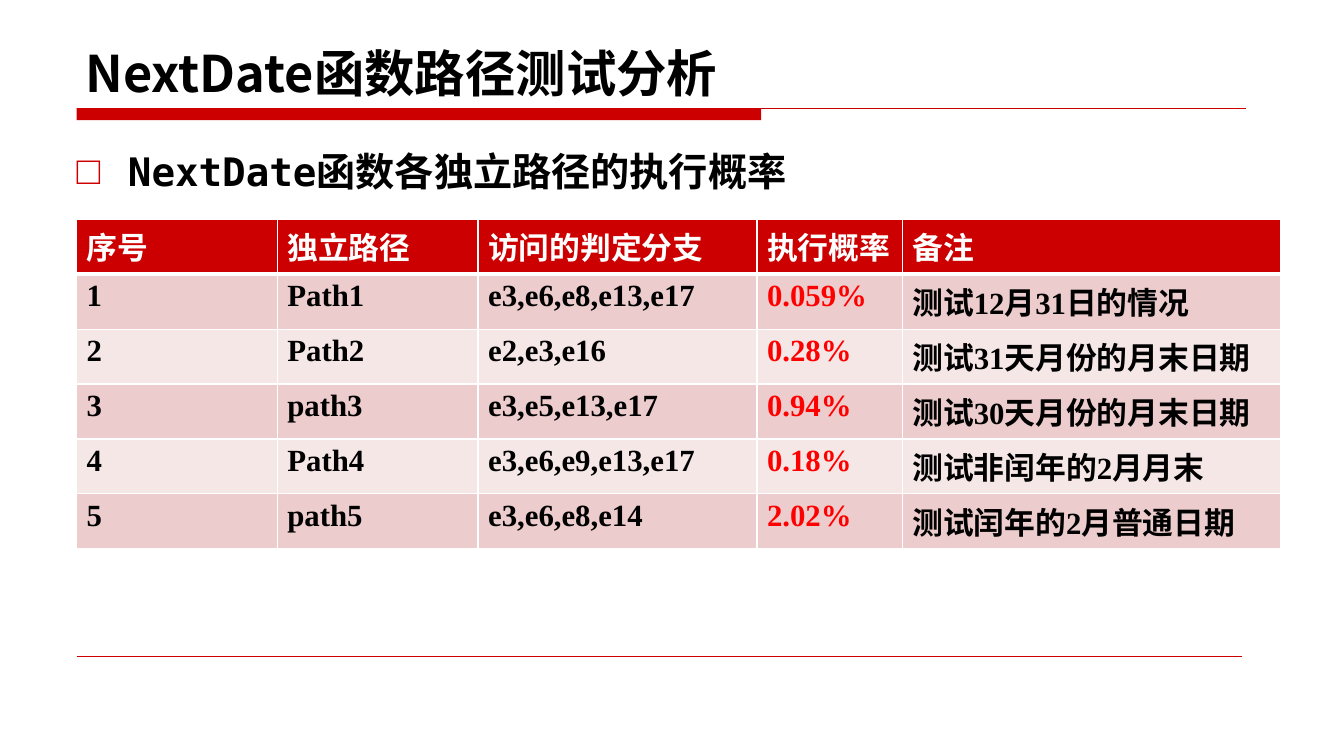
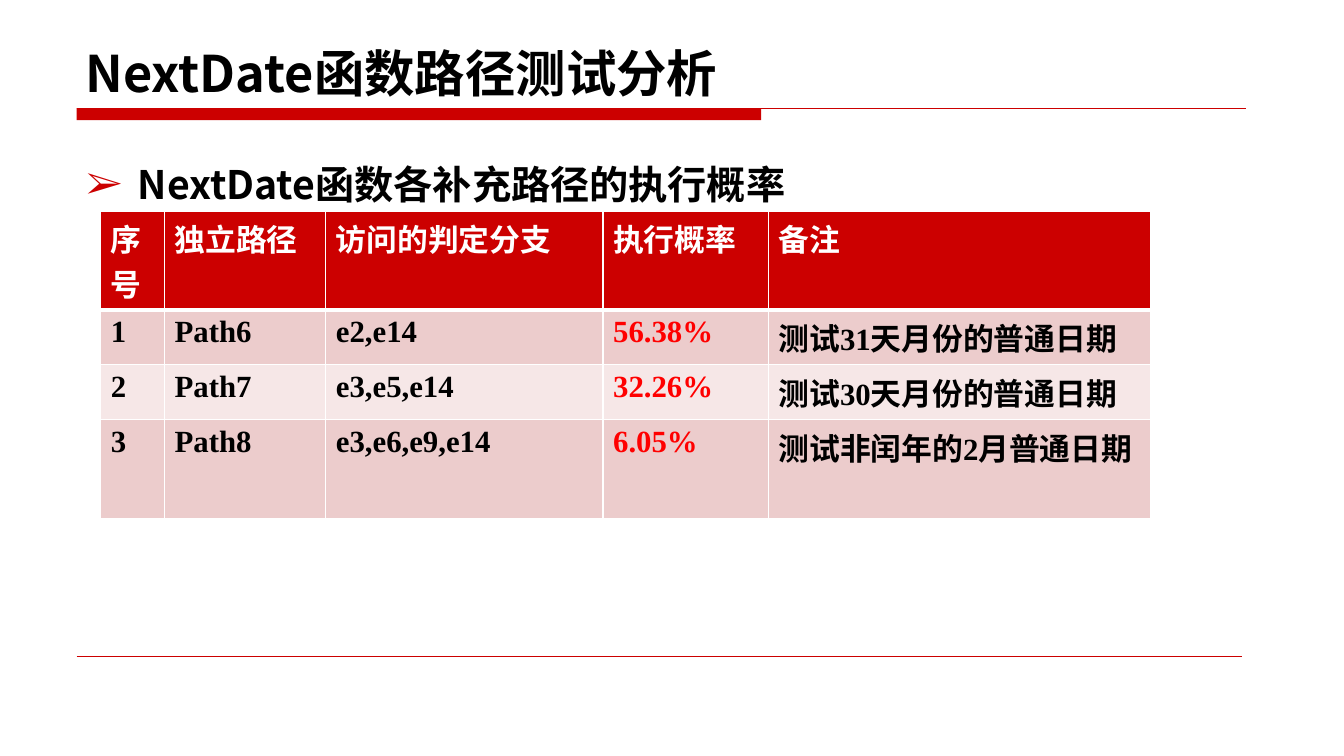
from lxml import etree
from pptx import Presentation
from pptx.dml.color import RGBColor
from pptx.enum.shapes import MSO_CONNECTOR, MSO_SHAPE
from pptx.enum.text import MSO_ANCHOR
from pptx.oxml.ns import qn
from pptx.util import Inches, Pt

RECTANGLE = MSO_SHAPE.RECTANGLE
STRAIGHT = MSO_CONNECTOR.STRAIGHT
TOP, BOTTOM = MSO_ANCHOR.TOP, MSO_ANCHOR.BOTTOM
GRID_COLUMNS, GRID_ROWS = 160, 90
RED, BLACK, WHITE, BRIGHT_RED = "CC0000", "000000", "FFFFFF", "FF0000"
STRIPES = "F6E7E7", "ECCCCC"
SANS, SERIF, MONO = "Noto Sans CJK SC", "Times New Roman", "DejaVu Sans Mono"
MARGIN = 9.12
BAND_TOP, BAND_WIDTH, BAND_HEIGHT = 12.87, 81.5, 1.45
RULE_END, FOOTER_END, FOOTER_TOP = 148.3, 147.9, 78.1
ONE_LINE, TWO_LINES = 6.54, 11.75
PROBABILITY_COLUMN = 3
TITLE = "NextDate函数路径测试分析"
HEADER = ["序号", "独立路径", "访问的判定分支", "执行概率", "备注"]
INDEPENDENT_PATHS = [
    ["1", "Path1", "e3,e6,e8,e13,e17", "0.059%", "测试12月31日的情况"],
    ["2", "Path2", "e2,e3,e16", "0.28%", "测试31天月份的月末日期"],
    ["3", "path3", "e3,e5,e13,e17", "0.94%", "测试30天月份的月末日期"],
    ["4", "Path4", "e3,e6,e9,e13,e17", "0.18%", "测试非闰年的2月月末"],
    ["5", "path5", "e3,e6,e8,e14", "2.02%", "测试闰年的2月普通日期"],
]
EXTRA_PATHS = [
    ["1", "Path6", "e2,e14", "56.38%", "测试31天月份的普通日期"],
    ["2", "Path7", "e3,e5,e14", "32.26%", "测试30天月份的普通日期"],
    ["3", "Path8", "e3,e6,e9,e14", "6.05%", "测试非闰年的2月普通日期"],
]


def color(value):
    """Turn a hex string into a colour."""
    return RGBColor.from_string(value)


def add_element(parent, tag, **attributes):
    """Append a drawing element with the given attributes."""
    return etree.SubElement(parent, qn(tag), attributes)


def write_text(frame, text, size=22, font=SANS, fill=BLACK, bullet=None):
    """Write one bold paragraph, with a hanging bullet if one is given."""
    paragraph = frame.paragraphs[0]
    run = paragraph.add_run()
    run.text = text
    run.font.size = Pt(size)
    run.font.bold = True
    run.font.color.rgb = color(fill)
    run.font.name = font
    add_element(run.font._element, "a:ea", typeface=SANS)
    if bullet:
        paragraph.line_spacing = 1.5
        paragraph.space_before = Pt(size * 0.2)
        properties = paragraph._p.get_or_add_pPr()
        indent = Inches(0.51)
        properties.set("marL", str(indent))
        properties.set("indent", str(-indent))
        bullet_color = add_element(properties, "a:buClr")
        add_element(bullet_color, "a:srgbClr", val=RED)
        add_element(properties, "a:buFont", typeface=SERIF)
        add_element(properties, "a:buChar", char=bullet)


def set_borders(cell, top, bottom):
    """Give a table cell white borders of the given widths."""
    properties = cell._tc.get_or_add_tcPr()
    widths = {"a:lnL": 1, "a:lnR": 1, "a:lnT": top, "a:lnB": bottom}
    for position, (tag, width) in enumerate(widths.items()):
        line = add_element(properties, tag, w=str(Pt(width)))
        add_element(add_element(line, "a:solidFill"), "a:srgbClr", val=WHITE)
        properties.insert(position, line)


class Deck:
    """Hold the shared style and the current slide."""

    def __init__(self):
        """Start a wide presentation."""
        self.presentation = Presentation()
        self.presentation.slide_width = Inches(13.33)
        self.presentation.slide_height = Inches(7.5)
        self.slide = None

    def x(self, columns):
        """Convert grid columns to a length."""
        return round(self.presentation.slide_width * columns / GRID_COLUMNS)

    def y(self, rows):
        """Convert grid rows to a length."""
        return round(self.presentation.slide_height * rows / GRID_ROWS)

    def box(self, left, top, width, height):
        """Convert a grid box to lengths."""
        return self.x(left), self.y(top), self.x(width), self.y(height)

    def start_slide(self, title):
        """Add a slide with the title, band and rules."""
        layout = self.presentation.slide_layouts[6]
        self.slide = self.presentation.slides.add_slide(layout)
        self.band(MARGIN, BAND_TOP, BAND_WIDTH, BAND_HEIGHT)
        self.rule(BAND_TOP, RULE_END, 0.75)
        self.rule(FOOTER_TOP, FOOTER_END, 0.25)
        self.text(title, (9, 3.3, 140, 9.5), anchor=BOTTOM, size=36)

    def band(self, *area):
        """Draw a filled band without outline."""
        shape = self.slide.shapes.add_shape(RECTANGLE, *self.box(*area))
        shape.shadow.inherit = False
        shape.fill.solid()
        shape.fill.fore_color.rgb = color(RED)
        shape.line.fill.background()

    def rule(self, top, end, width):
        """Draw a horizontal rule from the left margin."""
        connector = self.slide.shapes.add_connector(
            STRAIGHT, self.x(MARGIN), self.y(top), self.x(end), self.y(top))
        connector.line.color.rgb = color(RED)
        connector.line.width = Pt(width)
        add_element(connector._element.spPr, "a:effectLst")

    def text(self, text, area, anchor=TOP, padded=True, **style):
        """Place a wrapping text box."""
        frame = self.slide.shapes.add_textbox(*self.box(*area)).text_frame
        frame.word_wrap = True
        frame.vertical_anchor = anchor
        if not padded:
            frame.margin_left = frame.margin_right = 0
            frame.margin_top = frame.margin_bottom = 0
        write_text(frame, text, **style)

    def table(self, left, top, widths, heights, records):
        """Place a striped table under the shared header."""
        area = self.box(left, top, sum(widths), sum(heights))
        table = self.slide.shapes.add_table(
            len(heights), len(widths), *area).table
        for column, width in zip(table.columns, widths):
            column.width = self.x(width)
        for row, height in zip(table.rows, heights):
            row.height = self.y(height)
        for row, values in enumerate([HEADER] + records):
            for column, value in enumerate(values):
                cell = table.cell(row, column)
                cell.fill.solid()
                cell.fill.fore_color.rgb = color(STRIPES[row % 2] if row else RED)
                set_borders(cell, 3 if row == 1 else 1, 1 if row else 3)
                body = BRIGHT_RED if column == PROBABILITY_COLUMN else BLACK
                write_text(cell.text_frame, value, font=SERIF,
                           fill=body if row else WHITE)


def main():
    """Build both slides and save them."""
    deck = Deck()
    deck.start_slide(TITLE)
    deck.table(MARGIN, 26.1, [23.9, 23.9, 33.2, 17.3, 45],
               [ONE_LINE] * 6, INDEPENDENT_PATHS)
    deck.text("NextDate函数各独立路径的执行概率", (MARGIN, 14.75, 134, 7),
              padded=False, size=28, font=MONO, bullet="□")
    deck.start_slide(TITLE)
    deck.text("NextDate函数各补充路径的执行概率", (MARGIN, 15.7, 140, 56),
              size=28, bullet="➢")
    deck.table(12, 25.15, [7.6, 19.2, 33, 19.7, 45.5],
               [TWO_LINES, ONE_LINE, ONE_LINE, TWO_LINES], EXTRA_PATHS)
    deck.presentation.save("out.pptx")


if __name__ == "__main__":
    main()
